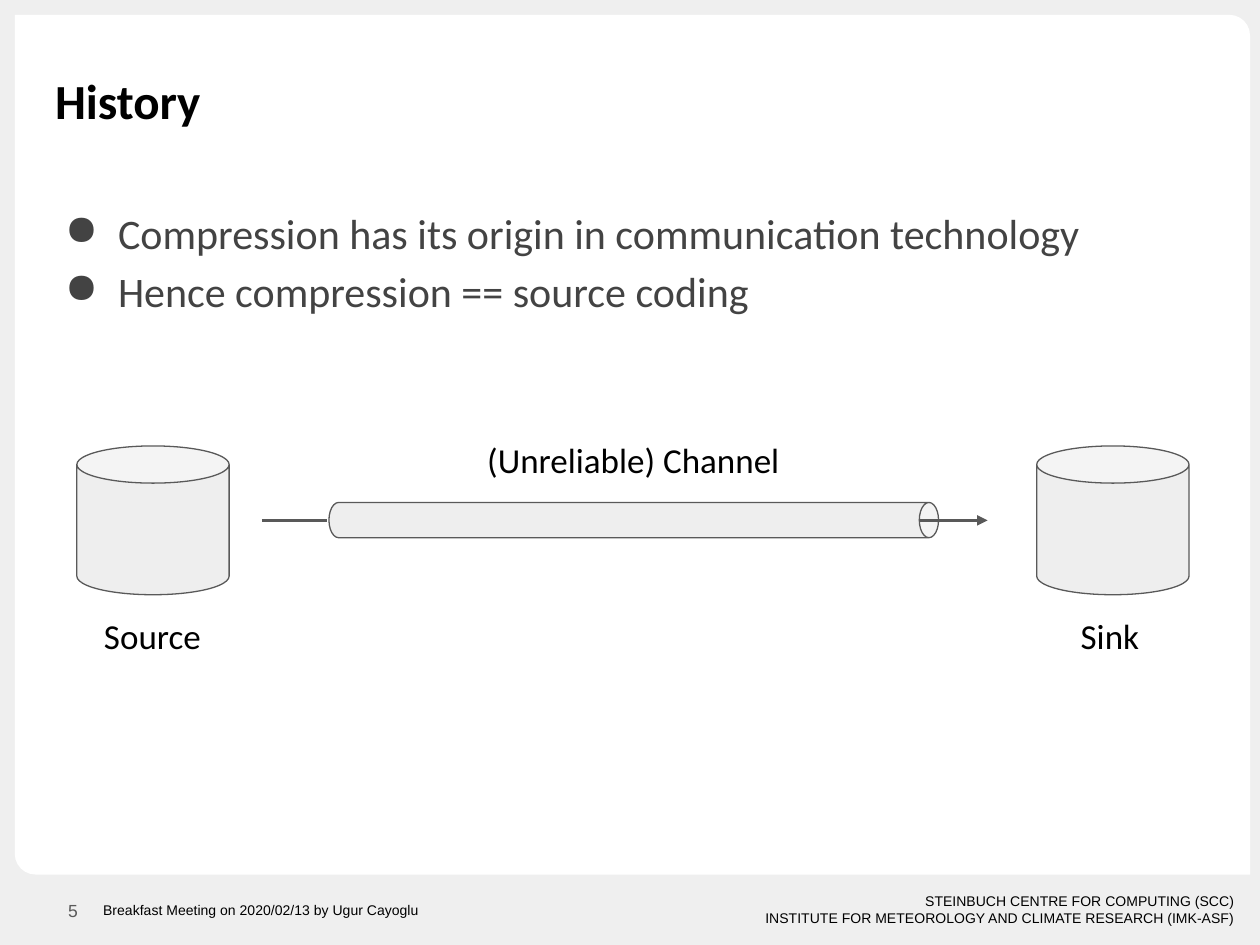
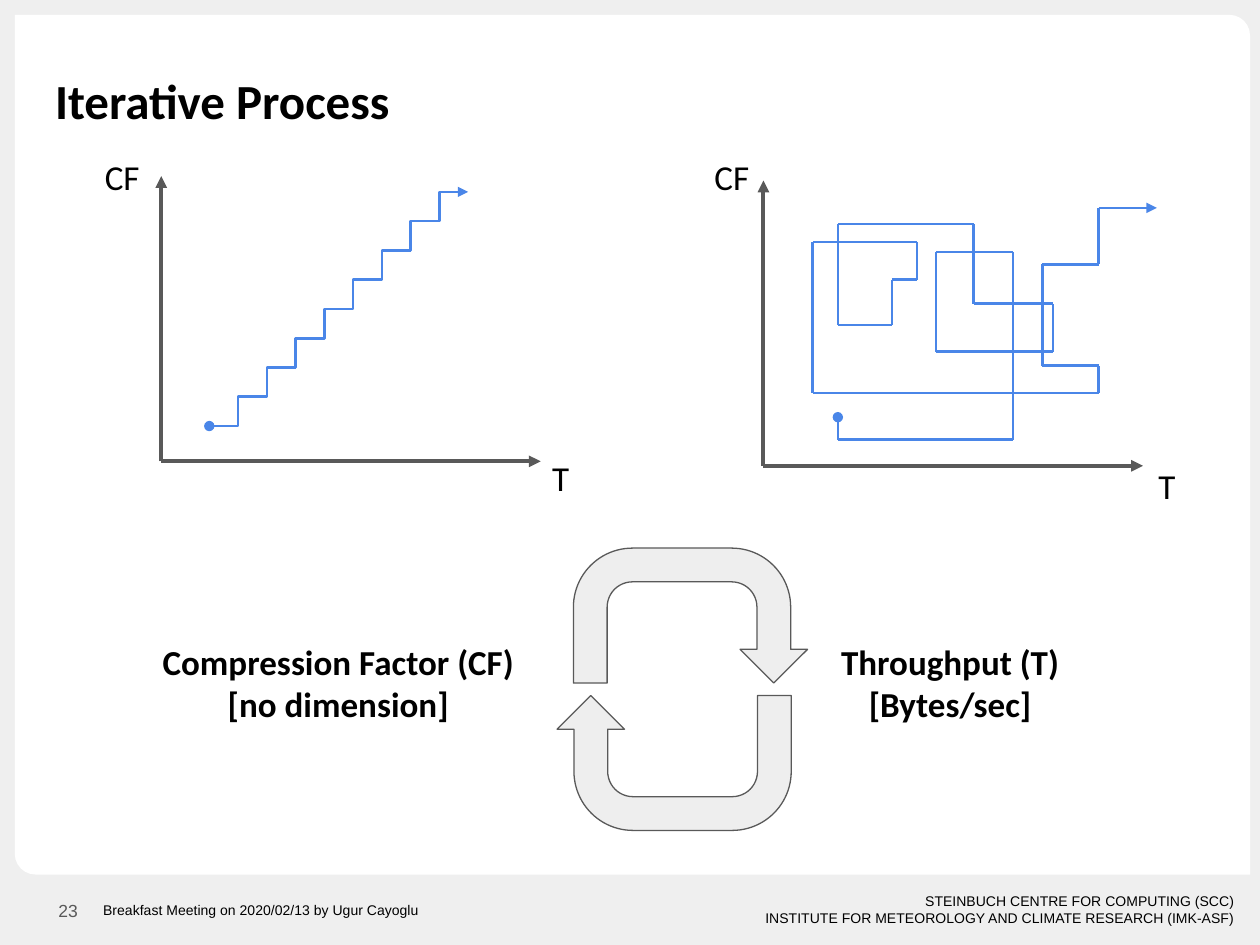
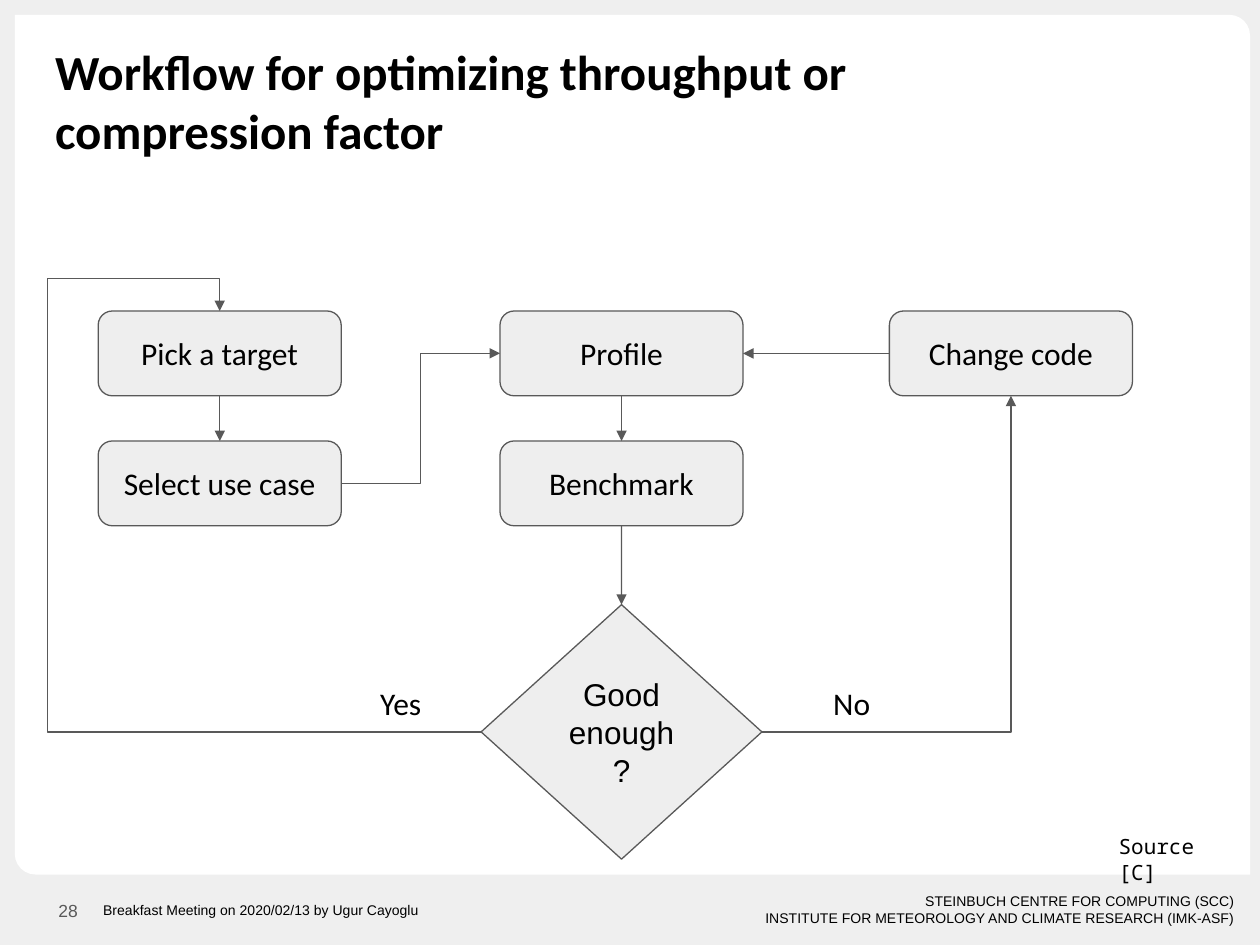
from itertools import pairwise

from lxml.etree import SubElement
from pptx import Presentation
from pptx.dml.color import RGBColor
from pptx.enum.shapes import MSO_CONNECTOR, MSO_SHAPE
from pptx.enum.text import MSO_ANCHOR, PP_ALIGN
from pptx.oxml.ns import qn
from pptx.util import Cm, Pt


class Theme:
    back = RGBColor.from_string("EFEFEF")
    panel = RGBColor.from_string("FFFFFF")
    fill = RGBColor.from_string("EEEEEE")
    edge = RGBColor.from_string("595959")
    ink = RGBColor.from_string("000000")
    body = RGBColor.from_string("434343")
    trace = RGBColor.from_string("4A86E8")
    sans = "Calibri"
    plain = "Arial"
    mono = "Noto Sans Mono"
    title, bullet, label, step, code, page, foot = 28, 24, 20, 18, 12, 10, 8
    thin, mid, thick = 0.75, 1.5, 2.25


LEFT, CENTER, RIGHT = PP_ALIGN.LEFT, PP_ALIGN.CENTER, PP_ALIGN.RIGHT


def put(slide, box, text="", size=Theme.label, face=Theme.sans, color=Theme.ink,
        bold=False, align=CENTER, anchor=MSO_ANCHOR.MIDDLE, kind=None):
    place = [Cm(n) for n in box]
    if kind is None:
        shape = slide.shapes.add_textbox(*place)
    else:
        shape = slide.shapes.add_shape(kind, *place)
        shape.shadow.inherit = False
        shape.fill.solid()
        shape.fill.fore_color.rgb = Theme.fill
        shape.line.color.rgb = Theme.edge
        shape.line.width = Pt(Theme.thin)
    if text:
        frame = shape.text_frame
        frame.word_wrap = True
        frame.vertical_anchor = anchor
        frame.margin_left = frame.margin_right = Cm(0.25)
        frame.margin_top = frame.margin_bottom = Cm(0.25)
        frame.text = text
        for para in frame.paragraphs:
            para.alignment = align
            para.font.size = Pt(size)
            para.font.name = face
            para.font.bold = bold
            para.font.color.rgb = color
    return shape


def wire(slide, start, end, color=Theme.edge, width=Theme.mid,
         head=None, tail=None, kind=MSO_CONNECTOR.STRAIGHT):
    link = slide.shapes.add_connector(kind, *[Cm(n) for n in (*start, *end)])
    link.line.color.rgb = color
    link.line.width = Pt(width)
    props = link._element.spPr
    for tag, tip in (("a:headEnd", head), ("a:tailEnd", tail)):
        if tip:
            SubElement(props.find(qn("a:ln")), qn(tag), type=tip)
    SubElement(props, qn("a:effectLst"))
    return link


deck = Presentation()
deck.slide_width, deck.slide_height = Cm(25.4), Cm(19.05)
ground = deck.slide_master.background.fill
ground.solid()
ground.fore_color.rgb = Theme.back

slides = []
for title, wide, page in (
    ("History", 23.67, "5"),
    ("Iterative Process", 23.67, "23"),
    ("Workflow for optimizing throughput or compression factor", 16.51, "28"),
):
    slide = deck.slides.add_slide(deck.slide_layouts[6])
    panel = put(slide, (0.3, 0.3, 24.9, 17.33), kind=MSO_SHAPE.ROUND_2_DIAG_RECTANGLE)
    panel.adjustments[0], panel.adjustments[1] = 0, 0.024
    panel.fill.fore_color.rgb = Theme.panel
    panel.line.fill.background()
    put(slide, (0.86, 1.37, wide, 1.3), title, Theme.title, bold=True, align=LEFT)
    put(slide, (7.11, 17.63, 18.03, 1.42),
        "STEINBUCH CENTRE FOR COMPUTING (SCC)\v"
        "INSTITUTE FOR METEOROLOGY AND CLIMATE RESEARCH (IMK-ASF)",
        Theme.foot, Theme.plain, align=RIGHT)
    put(slide, (0.3, 17.63, 1.52, 1.45), page, Theme.page, Theme.plain, Theme.edge, align=RIGHT)
    put(slide, (1.83, 17.63, 11.33, 1.42), "Breakfast Meeting on 2020/02/13 by Ugur Cayoglu",
        Theme.foot, Theme.plain, align=LEFT)
    slides.append(slide)
past, cycle, flow = slides

notes = put(past, (0.86, 3.78, 23.09, 2.31),
            "Compression has its origin in communication technology\n"
            "Hence compression == source coding",
            Theme.bullet, color=Theme.body, align=LEFT, anchor=MSO_ANCHOR.TOP)
for para in notes.text_frame.paragraphs:
    para.line_spacing = 1.15
    props = para._p.get_or_add_pPr()
    props.set("marL", str(Cm(1.27)))
    props.set("indent", str(Cm(-1.07)))
    mark = props.find(qn("a:defRPr"))
    for tag, key, value in (("a:buClr", None, None), ("a:buChar", "char", "●")):
        item = SubElement(props, qn(tag))
        if key:
            item.set(key, value)
        else:
            SubElement(item, qn("a:srgbClr"), val=str(Theme.body))
        mark.addprevious(item)

pipe = put(past, (12.42, 4.34, 0.71, 12.29), kind=MSO_SHAPE.CAN)
pipe.rotation = 90
pipe.adjustments[0] = 0.547
for left, name, side in ((1.55, "Source", 0.46), (20.9, "Sink", 19.76)):
    put(past, (left, 8.99, 3.07, 3), kind=MSO_SHAPE.CAN)
    put(past, (side, 12.32, 5.23, 0.99), name)
put(past, (8.59, 8.76, 8.36, 0.99), "(Unreliable) Channel")
wire(past, (5.28, 10.49), (6.6, 10.49))
wire(past, (18.52, 10.49), (19.91, 10.49), tail="triangle")

for x, y, up, across in (
    (3.25, 9.3, (1.83, 3.07), (10.67, 9.14)),
    (15.39, 9.39, (14.12, 3.07), (22.89, 9.3)),
):
    for end in ((x, y - 5.75), (x + 7.65, y)):
        wire(cycle, (x, y), end, width=Theme.thick, tail="triangle")
    put(cycle, (*up, 1.27, 0.99), "CF")
    put(cycle, (*across, 1.27, 0.99), "T")

steps, run, rise = 8, 0.58, 0.59
for n in range(steps):
    x, y = 4.22 + n * run, 8.59 - n * rise
    wire(cycle, (x, y), (x + 2 * run, y - rise), Theme.trace,
         head="oval" if n == 0 else None,
         tail="triangle" if n == steps - 1 else None, kind=MSO_CONNECTOR.ELBOW)

route = [
    (16.89, 8.41), (16.89, 8.86), (20.42, 8.86), (20.42, 5.08), (18.87, 5.08),
    (18.87, 7.09), (21.23, 7.09), (21.23, 6.12), (19.63, 6.12), (19.63, 4.52),
    (16.89, 4.52), (16.89, 6.55), (17.98, 6.55), (17.98, 5.64), (18.49, 5.64),
    (18.49, 4.88), (16.38, 4.88), (16.38, 7.92), (22.15, 7.92), (22.15, 7.37),
    (21.01, 7.37), (21.01, 5.33), (22.15, 5.33), (22.15, 4.19), (23.32, 4.19),
]
for start, end in pairwise(route):
    wire(cycle, start, end, Theme.trace,
         head="oval" if start == route[0] else None,
         tail="triangle" if end == route[-1] else None)

put(cycle, (16.54, 13.26, 5.23, 0.99), "Throughput (T)\n[Bytes/sec]", bold=True)
put(cycle, (2.87, 13.26, 7.9, 0.99), "Compression Factor (CF)\n[no dimension]", bold=True)
for left, top, turn in ((11.56, 11.05, 0), (11.23, 14.02, 180)):
    arrow = put(cycle, (left, top, 4.72, 2.72), kind=MSO_SHAPE.U_TURN_ARROW)
    arrow.rotation = turn
    for n, value in enumerate((0.25, 0.25, 0.25, 0.4375, 1)):
        arrow.adjustments[n] = value

cols, rows = (1.98, 10.08, 17.93), (6.27, 8.89)
pick, select, profile, bench, change = [
    put(flow, (cols[col], rows[row], 4.9, 1.71), name, Theme.step,
        kind=MSO_SHAPE.ROUNDED_RECTANGLE)
    for name, col, row in (
        ("Pick a target", 0, 0), ("Select use case", 0, 1),
        ("Profile", 1, 0), ("Benchmark", 1, 1), ("Change code", 2, 0),
    )
]
check = put(flow, (9.7, 12.19, 5.66, 5.13), "Good enough\v?", Theme.step, Theme.plain,
            kind=MSO_SHAPE.DIAMOND)

top, left, bottom, right = range(4)
for start, out, end, into, bend, shifts in (
    (pick, bottom, select, top, None, ()),
    (select, right, profile, left, "bentConnector3", (50000,)),
    (profile, bottom, bench, top, None, ()),
    (bench, bottom, check, top, None, ()),
    (check, right, change, bottom, "bentConnector2", ()),
    (change, left, profile, right, None, ()),
    (check, left, pick, top, "bentConnector4", (165800, 107800)),
):
    link = wire(flow, (0, 0), (1, 1), width=Theme.thin, tail="triangle",
                kind=MSO_CONNECTOR.ELBOW if bend else MSO_CONNECTOR.STRAIGHT)
    link.begin_connect(start, out)
    link.end_connect(end, into)
    if bend:
        shape = link._element.spPr.find(qn("a:prstGeom"))
        shape.set("prst", bend)
        for n, shift in enumerate(shifts, 1):
            SubElement(shape.find(qn("a:avLst")), qn("a:gd"), name=f"adj{n}", fmla=f"val {shift}")

for x, name in ((6.48, "Yes"), (15.57, "No")):
    put(flow, (x, 13.54, 3.2, 1.14), name, Theme.step, anchor=MSO_ANCHOR.TOP)
put(flow, (22.3, 16.56, 2.87, 0.91), "Source [C]", Theme.code, Theme.mono,
    align=LEFT, anchor=MSO_ANCHOR.TOP)

deck.save("out.pptx")
